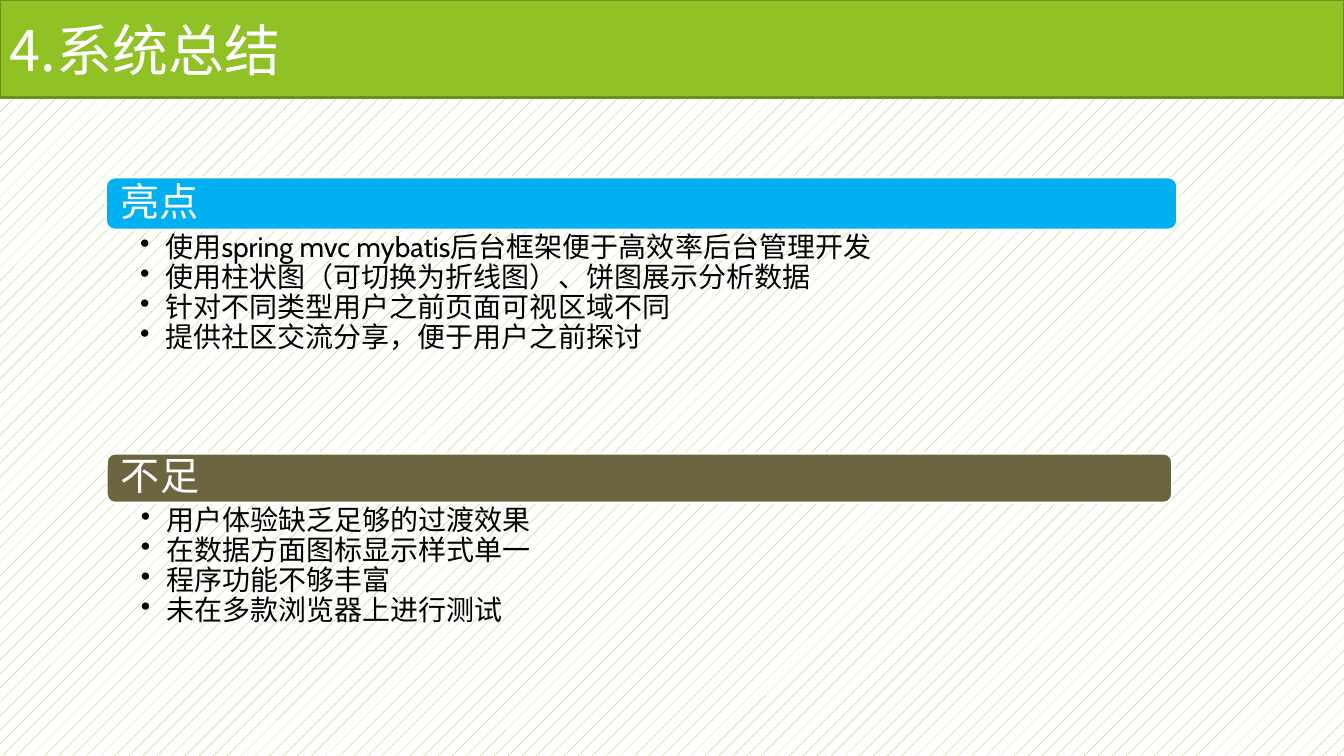
from lxml import etree
from pptx import Presentation
from pptx.dml.color import RGBColor
from pptx.enum.dml import MSO_PATTERN
from pptx.enum.shapes import MSO_SHAPE
from pptx.enum.text import MSO_ANCHOR as Anchor, PP_ALIGN as Align
from pptx.oxml.ns import qn
from pptx.util import Cm, Pt

GREEN = RGBColor(0x90, 0xC2, 0x26)
MOSS = RGBColor(0x6B, 0x90, 0x1C)
BLUE = RGBColor(0x00, 0xB0, 0xF0)
BROWN = RGBColor(0x6D, 0x65, 0x40)
WHITE = RGBColor(0xFF, 0xFF, 0xFF)
BLACK = RGBColor(0, 0, 0)
CJK = "Noto Sans CJK SC"
WIDTH, HEIGHT = 33.87, 19.05

PARTS = [
    ((2.67, 4.47, 27, 1.32), BLUE, "亮点", [
        "使用spring mvc mybatis后台框架便于高效率后台管理开发",
        "使用柱状图（可切换为折线图）、饼图展示分析数据",
        "针对不同类型用户之前页面可视区域不同",
        "提供社区交流分享，便于用户之前探讨",
    ]),
    ((2.69, 11.43, 26.85, 1.24), BROWN, "不足", [
        "用户体验缺乏足够的过渡效果",
        "在数据方面图标显示样式单一",
        "程序功能不够丰富",
        "未在多款浏览器上进行测试",
    ]),
]


def write(shape, lines, size, color, font="Cabin", anchor=Anchor.MIDDLE,
          inset=(0.25, 0.13, 0.25, 0.13), space=0.9, bullet=False):
    """Fill a shape with one paragraph per line; inset is left, top, right, bottom."""
    frame = shape.text_frame
    frame.word_wrap = True
    frame.vertical_anchor = anchor
    (frame.margin_left, frame.margin_top,
     frame.margin_right, frame.margin_bottom) = map(Cm, inset)
    for i, line in enumerate(lines):
        para = frame.add_paragraph() if i else frame.paragraphs[0]
        para.alignment = Align.LEFT
        para.line_spacing = space
        run = para.add_run()
        run.text = line
        run.font.size = Pt(size)
        run.font.name = font
        run.font.color.rgb = color
        etree.SubElement(run.font._element, qn("a:ea"), typeface=CJK)
        if bullet:
            para.level = 1
            props = para._p.get_or_add_pPr()
            props.set("marL", str(Cm(0.64)))
            props.set("indent", str(Cm(-0.64)))
            etree.SubElement(props, qn("a:buChar"), char="•")


def add_bar(shapes, kind, box, fill, line):
    bar = shapes.add_shape(kind, *map(Cm, box))
    bar.shadow.inherit = False
    bar.fill.solid()
    bar.fill.fore_color.rgb = fill
    bar.line.color.rgb = line
    bar.line.width = Pt(1.5)
    return bar


def add_title(slide, box, text):
    bar = add_bar(slide.shapes, MSO_SHAPE.RECTANGLE, box, GREEN, MOSS)
    write(bar, [text], 40, WHITE, font=CJK, space=1.0)


def add_part(slide, box, fill, head, points):
    """Place a coloured heading bar in the box and its bullet list below."""
    left, top, width, height = box
    shapes = slide.shapes.add_group_shape().shapes
    add_bar(shapes, MSO_SHAPE.ROUNDED_RECTANGLE, box, fill, WHITE)
    pad = 0.06
    label = shapes.add_textbox(Cm(left + pad), Cm(top + pad),
                               Cm(width - 2 * pad), Cm(height - 2 * pad))
    write(label, [head], 28, WHITE, inset=(0.3, 0.3, 0.3, 0.3))
    body = shapes.add_textbox(Cm(left), Cm(top + height), Cm(width), Cm(4.14))
    write(body, points, 20, BLACK, anchor=Anchor.TOP,
          inset=(0.86, 0.08, 0.41, 0.08), bullet=True)


def main():
    deck = Presentation()
    deck.slide_width, deck.slide_height = Cm(WIDTH), Cm(HEIGHT)
    slide = deck.slides.add_slide(deck.slide_layouts[6])
    back = slide.background.fill
    back.patterned()
    back.pattern = MSO_PATTERN.PERCENT_5
    back.fore_color.rgb = GREEN
    back.back_color.rgb = WHITE
    add_title(slide, (0, 0, WIDTH, 2.46), "4.系统总结")
    for part in PARTS:
        add_part(slide, *part)
    deck.save("out.pptx")


if __name__ == "__main__":
    main()
